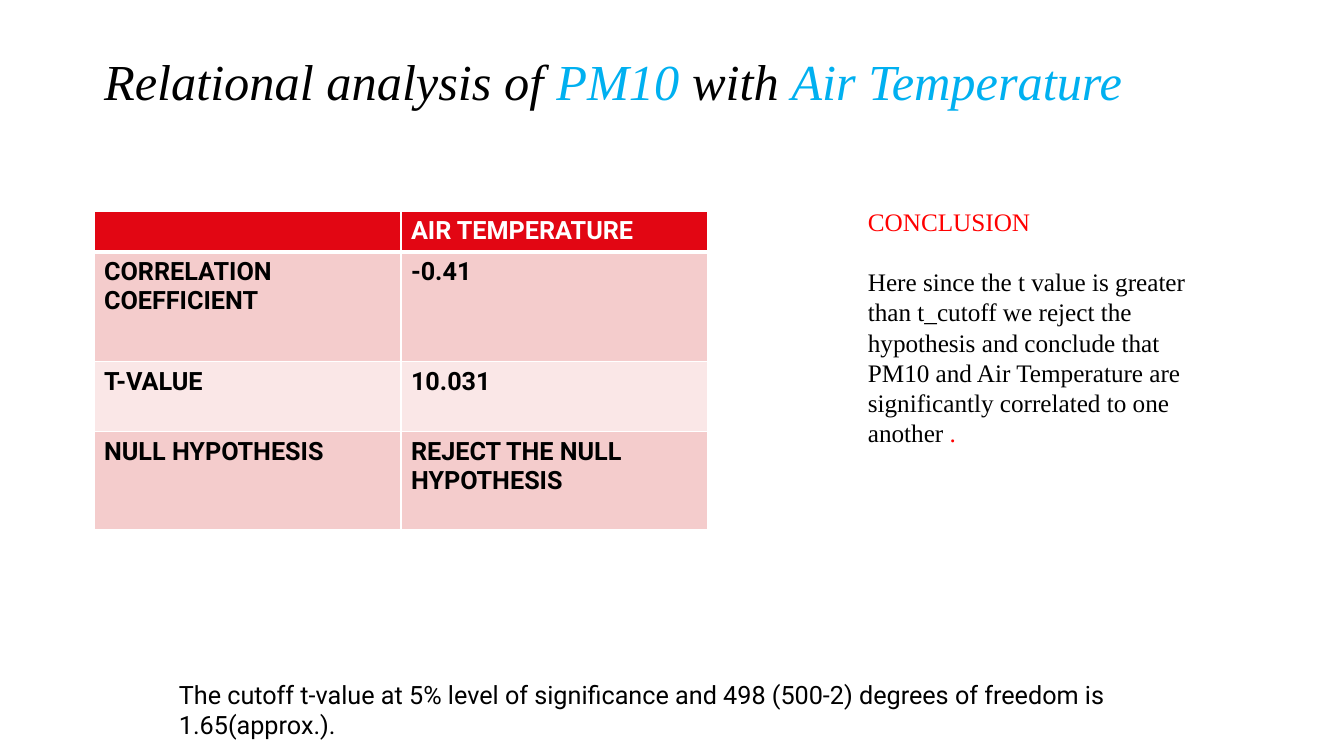
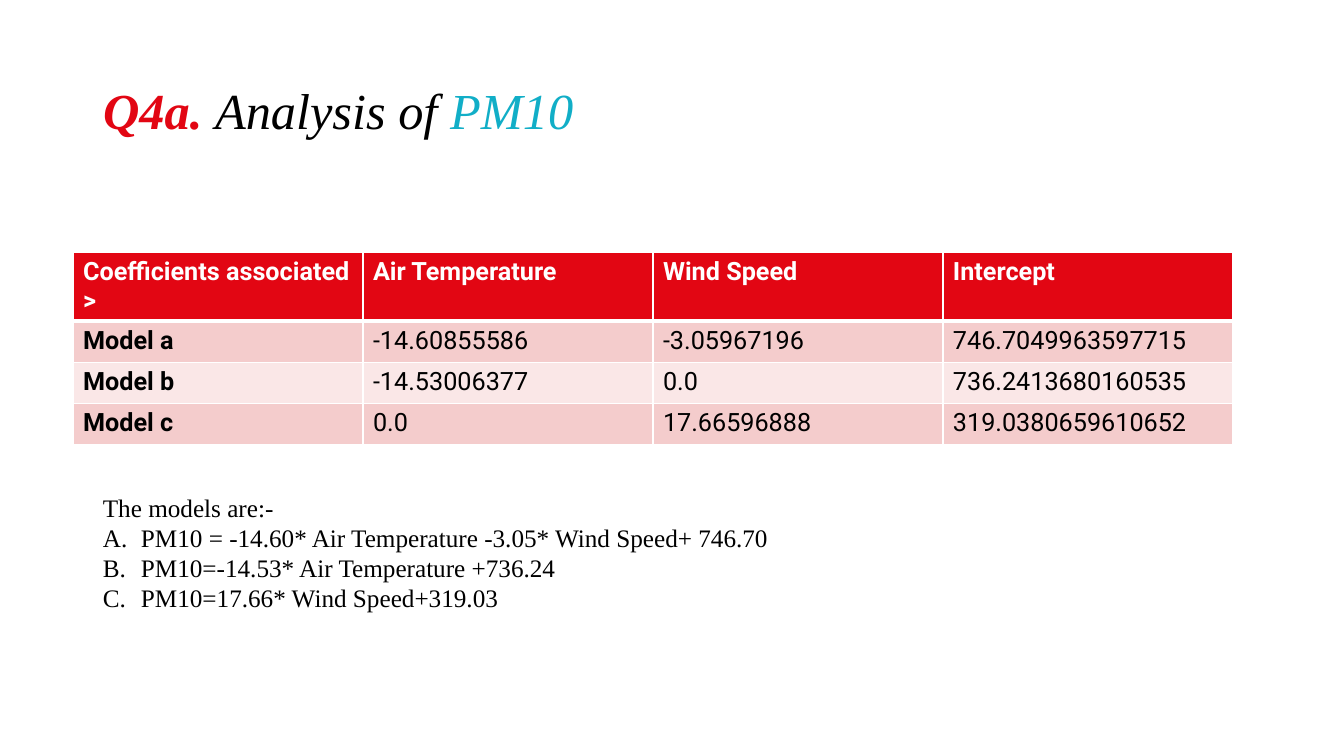
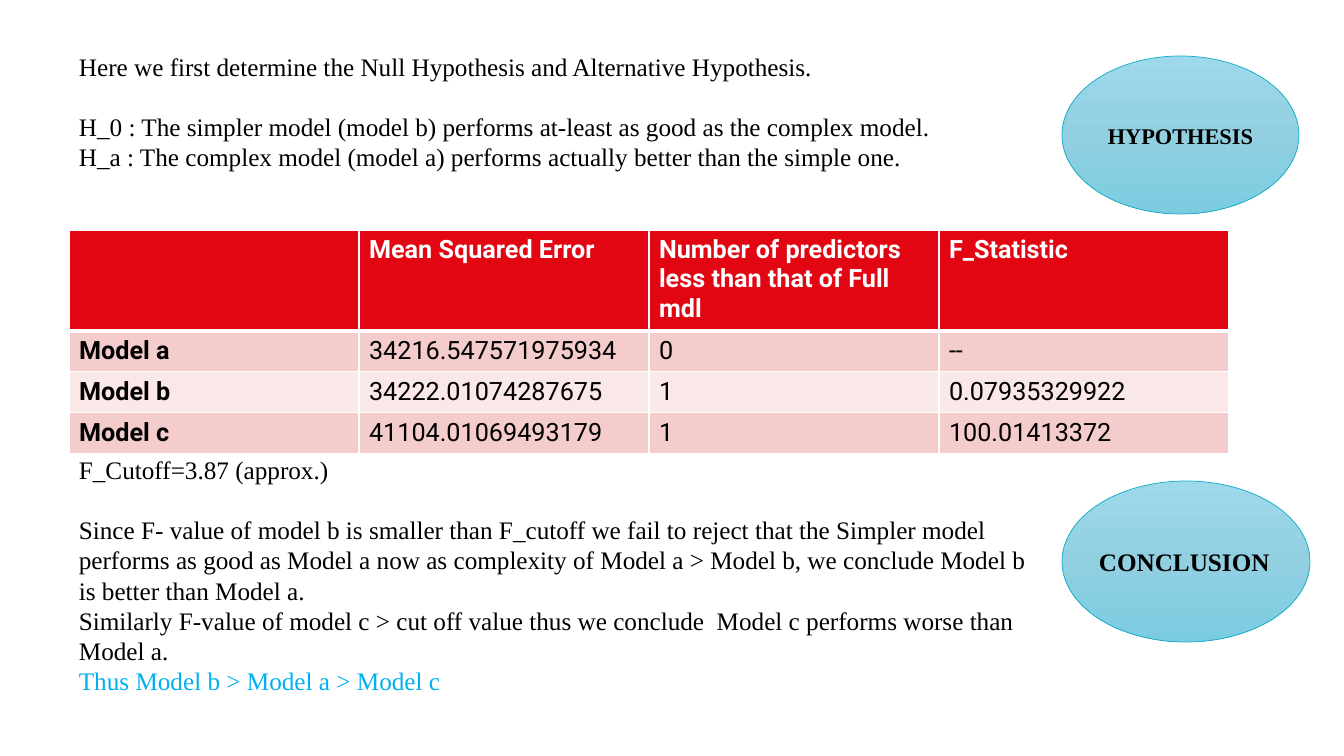
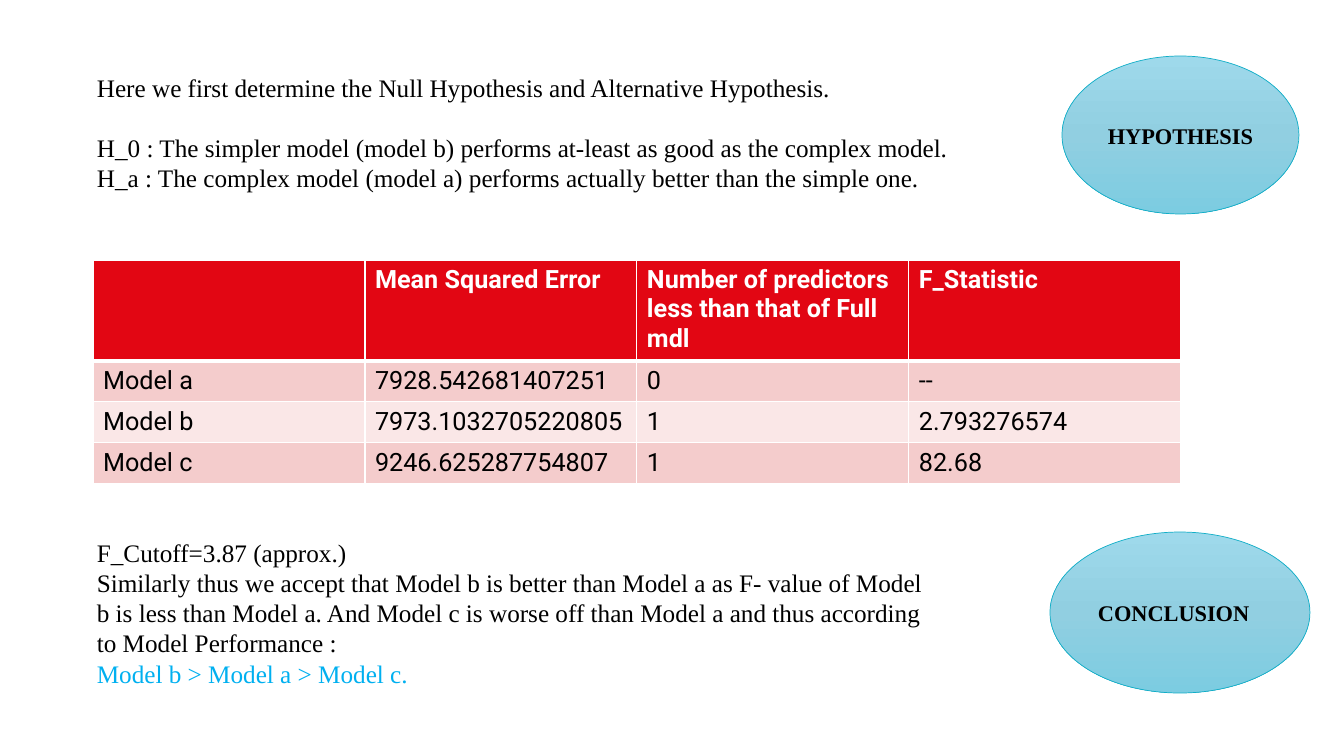
from copy import deepcopy
from dataclasses import dataclass

from lxml.etree import SubElement
from pptx import Presentation
from pptx.dml.color import RGBColor
from pptx.enum.shapes import MSO_SHAPE as Shape
from pptx.enum.text import MSO_ANCHOR as Anchor, MSO_AUTO_SIZE as Fit, PP_ALIGN as Align
from pptx.oxml.ns import qn
from pptx.util import Emu, Pt

SCALE = 914400 / 100.8
SERIF, SANS = "Times New Roman", "Roboto"
BLACK, WHITE, RED, PURE = "000000", "FFFFFF", "E20613", "FF0000"
SKY, TEAL = "00B0F0", "11AEC7"
BANDS = ("F4CCCC", "FAE7E7")
GLOSS = ("9ED9EB", "91CFE1", "7CCCE1")
BODY, SMALL, LARGE = 18, 16, 36
BLANK = 21.6
INDENT = 38


@dataclass(frozen=True)
class Area:
    left: int
    top: int
    width: int
    height: int


@dataclass(frozen=True)
class Span:
    text: str
    color: str = BLACK
    bold: bool = False


@dataclass(frozen=True)
class Para:
    spans: tuple[Span, ...]
    gap: float = 0
    letter: bool = False


@dataclass(frozen=True)
class Style:
    font: str = SERIF
    size: int = BODY
    slant: bool = False


@dataclass(frozen=True)
class Grid:
    left: int
    top: int
    column: int
    heights: tuple[int, ...]
    rows: tuple[tuple[str, ...], ...]
    strong: int = 1


def px(value: float) -> Emu:
    return Emu(round(value * SCALE))


def tint(value: str) -> RGBColor:
    return RGBColor.from_string(value)


def line(text: str, color: str = BLACK, bold: bool = False,
         gap: float = 0, letter: bool = False) -> Para:
    return Para((Span(text, color, bold),), gap, letter)


def place(shape, area: Area) -> None:
    shape.left, shape.top = px(area.left), px(area.top)
    shape.width, shape.height = px(area.width), px(area.height)


def number(para) -> None:
    props = para._p.get_or_add_pPr()
    props.set("marL", str(px(INDENT)))
    props.set("indent", str(-px(INDENT)))
    SubElement(props, qn("a:buFont"), typeface="+mj-lt")
    SubElement(props, qn("a:buAutoNum"), type="alphaUcPeriod")


def write(frame, paras: tuple[Para, ...], style: Style = Style()) -> None:
    frame.word_wrap = True
    for index, item in enumerate(paras):
        para = frame.add_paragraph() if index else frame.paragraphs[0]
        para.alignment = Align.LEFT
        if item.gap:
            para.space_before = Pt(item.gap)
        if item.letter:
            number(para)
        for span in item.spans:
            run = para.add_run()
            run.text = span.text
            font = run.font
            font.name, font.size = style.font, Pt(style.size)
            font.bold, font.italic = span.bold, style.slant
            font.color.rgb = tint(span.color)


def head(slide, area: Area, spans: tuple[Span, ...], lift: int = 0) -> None:
    title = slide.shapes.title
    place(title, area)
    frame = title.text_frame
    frame.auto_size = Fit.NONE
    frame.vertical_anchor = Anchor.MIDDLE
    frame.margin_bottom = px(5 + lift)
    write(frame, (Para(spans),), Style(size=LARGE, slant=True))
    frame.paragraphs[0].line_spacing = 0.9


def note(slide, area: Area, paras: tuple[Para, ...], style: Style = Style()) -> None:
    box = slide.shapes.add_textbox(0, 0, 0, 0)
    place(box, area)
    write(box.text_frame, paras, style)


def edge(cell, row: int) -> None:
    props = cell._tc.get_or_add_tcPr()
    heavy = {0: "lnB", 1: "lnT"}.get(row)
    for side in ("lnL", "lnR", "lnT", "lnB"):
        rule = SubElement(props, qn(f"a:{side}"), w=str(Pt(3 if side == heavy else 1)))
        fill = SubElement(rule, qn("a:solidFill"))
        SubElement(fill, qn("a:srgbClr"), val=WHITE)


def table(slide, grid: Grid) -> None:
    count = len(grid.rows[0])
    frame = slide.shapes.add_table(
        len(grid.rows), count, px(grid.left), px(grid.top),
        px(grid.column * count), px(sum(grid.heights)))
    chart = frame.table
    for column in chart.columns:
        column.width = px(grid.column)
    for row, (height, texts) in enumerate(zip(grid.heights, grid.rows)):
        chart.rows[row].height = px(height)
        for col, text in enumerate(texts):
            cell = chart.cell(row, col)
            edge(cell, row)
            cell.fill.solid()
            cell.fill.fore_color.rgb = tint(BANDS[(row - 1) % 2] if row else RED)
            if text:
                bold = row == 0 or col < grid.strong
                write(cell.text_frame, (line(text, BLACK if row else WHITE, bold),),
                      Style(SANS))


def oval(slide, area: Area):
    shape = slide.shapes.add_shape(Shape.OVAL, 0, 0, 0, 0)
    place(shape, area)
    shape.shadow.inherit = False
    shape.line.color.rgb = tint(TEAL)
    shape.line.width = Pt(0.5)
    fill = shape.fill
    fill.gradient()
    fill.gradient_angle = 270
    stops = shape._element.spPr.find(".//" + qn("a:gsLst"))
    stops.append(deepcopy(stops[0]))
    for index, (stop, color) in enumerate(zip(fill.gradient_stops, GLOSS)):
        stop.position = index / 2
        stop.color.rgb = tint(color)
    return shape


def premise(slide, area: Area) -> None:
    note(slide, area, (
        line("Here we first determine the Null Hypothesis and Alternative Hypothesis."),
        line("H_0 : The simpler model (model b) performs at-least as good as the complex model.",
             gap=BLANK),
        line("H_a : The complex model (model a) performs actually better than the simple one."),
    ))
    oval(slide, Area(1062, 56, 237, 158))
    note(slide, Area(1098, 117, 202, 37), (line("HYPOTHESIS", bold=True),), Style(size=SMALL))


TESTS = ("", "Mean Squared Error", "Number of predictors less than that of Full mdl",
         "F_Statistic")

deck = Presentation()
deck.slide_width, deck.slide_height = px(1344), px(756)
TITLED, EMPTY = deck.slide_layouts[5], deck.slide_layouts[6]

page = deck.slides.add_slide(TITLED)
head(page, Area(94, 41, 1159, 146), (
    Span("Relational analysis of "), Span("PM10 ", SKY),
    Span("with "), Span("Air Temperature", SKY)), lift=60)
table(page, Grid(94, 211, 307, (39, 110, 70, 98), (
    ("", "AIR TEMPERATURE"),
    ("CORRELATION COEFFICIENT", "-0.41"),
    ("T-VALUE", "10.031"),
    ("NULL HYPOTHESIS", "REJECT THE NULL HYPOTHESIS")), strong=2))
note(page, Area(858, 201, 352, 316), (
    line("CONCLUSION", PURE),
    Para((Span("Here since the t value is greater than t_cutoff we reject the hypothesis "
               "and conclude that PM10 and Air Temperature are significantly correlated "
               "to one another "), Span(".", PURE)), BLANK)))
note(page, Area(169, 674, 980, 72), (
    line("The cutoff t-value at 5% level of significance and 498 (500-2) degrees of "
         "freedom is 1.65(approx.)."),), Style(SANS))

page = deck.slides.add_slide(TITLED)
head(page, Area(93, 40, 1159, 146), (
    Span("Q4a. ", RED, True), Span("Analysis of "), Span("PM10", TEAL)))
table(page, Grid(73, 252, 290, (68, 41, 41, 41), (
    ("Coefficients associated >", "Air Temperature", "Wind Speed", "Intercept"),
    ("Model a", "-14.60855586", "-3.05967196", "746.7049963597715"),
    ("Model b", "-14.53006377", "0.0", "736.2413680160535"),
    ("Model c", "0.0", "17.66596888", "319.0380659610652"))))
note(page, Area(93, 487, 1099, 163), (
    line("The models are:-"),
    line("PM10 = -14.60* Air Temperature -3.05* Wind Speed+ 746.70", letter=True),
    line("PM10=-14.53* Air Temperature +736.24", letter=True),
    line("PM10=17.66* Wind Speed+319.03", letter=True)))

page = deck.slides.add_slide(EMPTY)
premise(page, Area(69, 46, 1159, 132))
table(page, Grid(69, 230, 290, (99, 41, 41, 41), (
    TESTS,
    ("Model a", "34216.547571975934", "0", "--"),
    ("Model b", "34222.01074287675", "1", "0.07935329922"),
    ("Model c", "41104.01069493179", "1", "100.01413372"))))
note(page, Area(69, 449, 971, 285), (
    line("F_Cutoff=3.87 (approx.)"),
    line("Since F- value of model b is smaller than F_cutoff we fail to reject that the "
         "Simpler model performs as good as Model a now as complexity of Model a > "
         "Model b, we conclude Model b is better than Model a.", gap=BLANK),
    line("Similarly F-value of model c > cut off value thus we conclude  Model c performs "
         "worse than Model a."),
    line("Thus Model b > Model a > Model c", SKY)))
oval(page, Area(1062, 481, 248, 161))
note(page, Area(1089, 541, 205, 40), (line("CONCLUSION", bold=True),))

page = deck.slides.add_slide(EMPTY)
table(page, Grid(93, 260, 272, (98, 41, 41, 41), (
    TESTS,
    ("Model a", "7928.542681407251", "0", "--"),
    ("Model b", "7973.1032705220805", "1", "2.793276574"),
    ("Model c", "9246.625287754807", "1", "82.68")), strong=0))
note(page, Area(87, 532, 856, 163), (
    line("F_Cutoff=3.87 (approx.)"),
    line("Similarly thus we accept that Model b is better than Model a as F- value of "
         "Model b is less than Model a. And Model c is worse off than Model a and thus "
         "according to Model Performance :"),
    line("Model b > Model a > Model c.", SKY)))
premise(page, Area(87, 67, 899, 163))
verdict = oval(page, Area(1050, 532, 260, 161))
verdict.text_frame.vertical_anchor = Anchor.MIDDLE
write(verdict.text_frame, (line("CONCLUSION", bold=True),), Style(size=SMALL))

deck.save("out.pptx")
